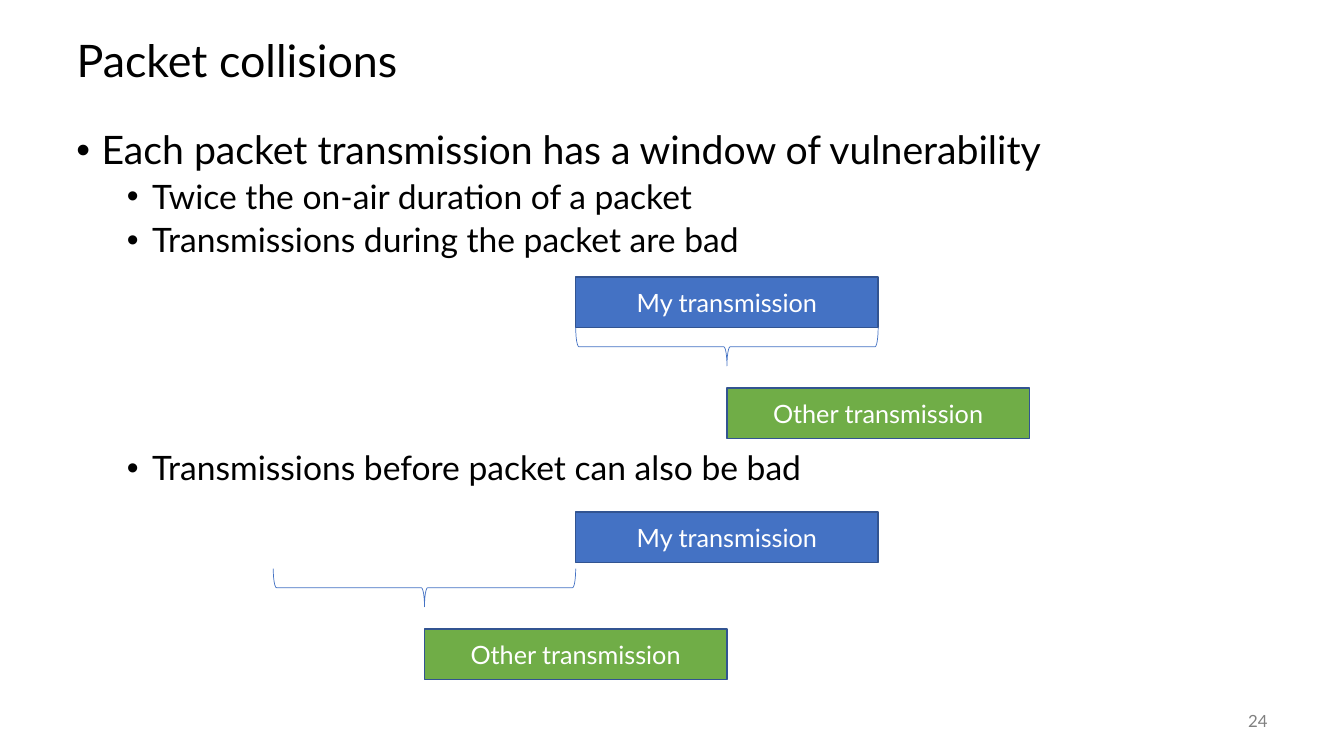
"""Build the slide on packet collisions and their window of vulnerability."""
import dataclasses

import lxml.etree
import pptx
import pptx.dml.color
import pptx.enum.shapes
import pptx.enum.text
import pptx.oxml.ns
import pptx.util

Inches = pptx.util.Inches
Pt = pptx.util.Pt
SHAPE = pptx.enum.shapes.MSO_SHAPE
ALIGN = pptx.enum.text.PP_ALIGN
ANCHOR = pptx.enum.text.MSO_ANCHOR


@dataclasses.dataclass(frozen=True)
class Theme:
    """Font, colours and type sizes of the slide."""
    font: str = "Lato"
    ink: str = "000000"
    muted: str = "808080"
    light: str = "FFFFFF"
    mine: str = "4472C4"
    other: str = "70AD47"
    outline: str = "325491"
    title: int = 32
    levels: tuple = (28, 24)
    label: int = 18
    number: int = 12


THEME = Theme()
TITLE = "Packet collisions"
SLIDE_NUMBER = "24"
BULLETS = [
    (0, 0, "Each packet transmission has a window of vulnerability"),
    (1, 5, "Twice the on-air duration of a packet"),
    (1, 5, "Transmissions during the packet are bad"),
    (1, 137, "Transmissions before packet can also be bad"),
]
MY_LABEL, OTHER_LABEL = "My transmission", "Other transmission"
COLLISIONS = [
    {"my_top": 2.75, "window_left": 5.71, "window_top": 3.25},
    {"my_top": 5.08, "window_left": 2.71, "window_top": 5.64},
]
MY_LEFT, PACKET_W, PACKET_H = 5.71, 3, 0.5
BRACE_H, OTHER_DROP = 0.38, 0.6
MARGIN, CONTENT_W = 0.66, 12
INDENT, LEVEL_STEP = 0.25, 0.5


def rgb(color):
    return pptx.dml.color.RGBColor.from_string(color)


def add_run(p, text, size, color):
    r = p.add_run()
    r.text = text
    r.font.name = THEME.font
    r.font.size = Pt(size)
    r.font.color.rgb = rgb(color)


def add_bullet(p, level):
    pPr = p._p.get_or_add_pPr()
    pPr.set("marL", str(Inches(INDENT + LEVEL_STEP * level)))
    pPr.set("indent", str(-Inches(INDENT)))
    for tag, key, value in (("a:buFont", "typeface", "Arial"), ("a:buChar", "char", "•")):
        lxml.etree.SubElement(pPr, pptx.oxml.ns.qn(tag)).set(key, value)


def add_title(s):
    sp = s.shapes.title
    sp.left, sp.top = Inches(MARGIN), Inches(0.25)
    sp.width, sp.height = Inches(CONTENT_W), Inches(0.75)
    tf = sp.text_frame
    tf.vertical_anchor = ANCHOR.MIDDLE
    p = tf.paragraphs[0]
    p.alignment = ALIGN.LEFT
    p.line_spacing = 0.9
    add_run(p, TITLE, THEME.title, THEME.ink)


def add_bullets(s):
    sp = s.shapes.add_textbox(Inches(MARGIN), Inches(1.25), Inches(CONTENT_W), Inches(5.5))
    tf = sp.text_frame
    tf.word_wrap = True
    for i, (level, before, text) in enumerate(BULLETS):
        p = tf.add_paragraph() if i else tf.paragraphs[0]
        p.level = level
        add_bullet(p, level)
        p.line_spacing = 0.9
        p.space_before = Pt(before)
        add_run(p, text, THEME.levels[level], THEME.ink)


def add_slide_number(s):
    sp = s.shapes.add_textbox(Inches(11.67), Inches(6.95), Inches(1), Inches(0.4))
    tf = sp.text_frame
    tf.word_wrap = True
    tf.vertical_anchor = ANCHOR.MIDDLE
    p = tf.paragraphs[0]
    p.alignment = ALIGN.RIGHT
    add_run(p, SLIDE_NUMBER, THEME.number, THEME.muted)


def add_packet(s, left, top, text, fill):
    sp = s.shapes.add_shape(
        SHAPE.RECTANGLE, Inches(left), Inches(top), Inches(PACKET_W), Inches(PACKET_H))
    sp.shadow.inherit = False
    sp.fill.solid()
    sp.fill.fore_color.rgb = rgb(fill)
    sp.line.color.rgb = rgb(THEME.outline)
    sp.line.width = Pt(1)
    tf = sp.text_frame
    tf.vertical_anchor = ANCHOR.MIDDLE
    p = tf.paragraphs[0]
    p.alignment = ALIGN.CENTER
    add_run(p, text, THEME.label, THEME.light)


def add_window(s, left, top):
    turn = (PACKET_W - BRACE_H) / 2
    sp = s.shapes.add_shape(
        SHAPE.RIGHT_BRACE, Inches(left + turn), Inches(top - turn),
        Inches(BRACE_H), Inches(PACKET_W))
    sp.rotation = 90
    sp.shadow.inherit = False
    sp.fill.background()
    sp.line.color.rgb = rgb(THEME.mine)
    sp.line.width = Pt(0.5)


def main():
    prs = pptx.Presentation()
    prs.slide_width, prs.slide_height = Inches(13.33), Inches(7.5)
    s = prs.slides.add_slide(prs.slide_layouts.get_by_name("Title Only"))
    add_title(s)
    add_bullets(s)
    add_slide_number(s)
    for c in COLLISIONS:
        left, top = c["window_left"], c["window_top"]
        add_packet(s, MY_LEFT, c["my_top"], MY_LABEL, THEME.mine)
        add_window(s, left, top)
        add_packet(s, left + PACKET_W / 2, top + OTHER_DROP, OTHER_LABEL, THEME.other)
    prs.save("out.pptx")


if __name__ == "__main__":
    main()
